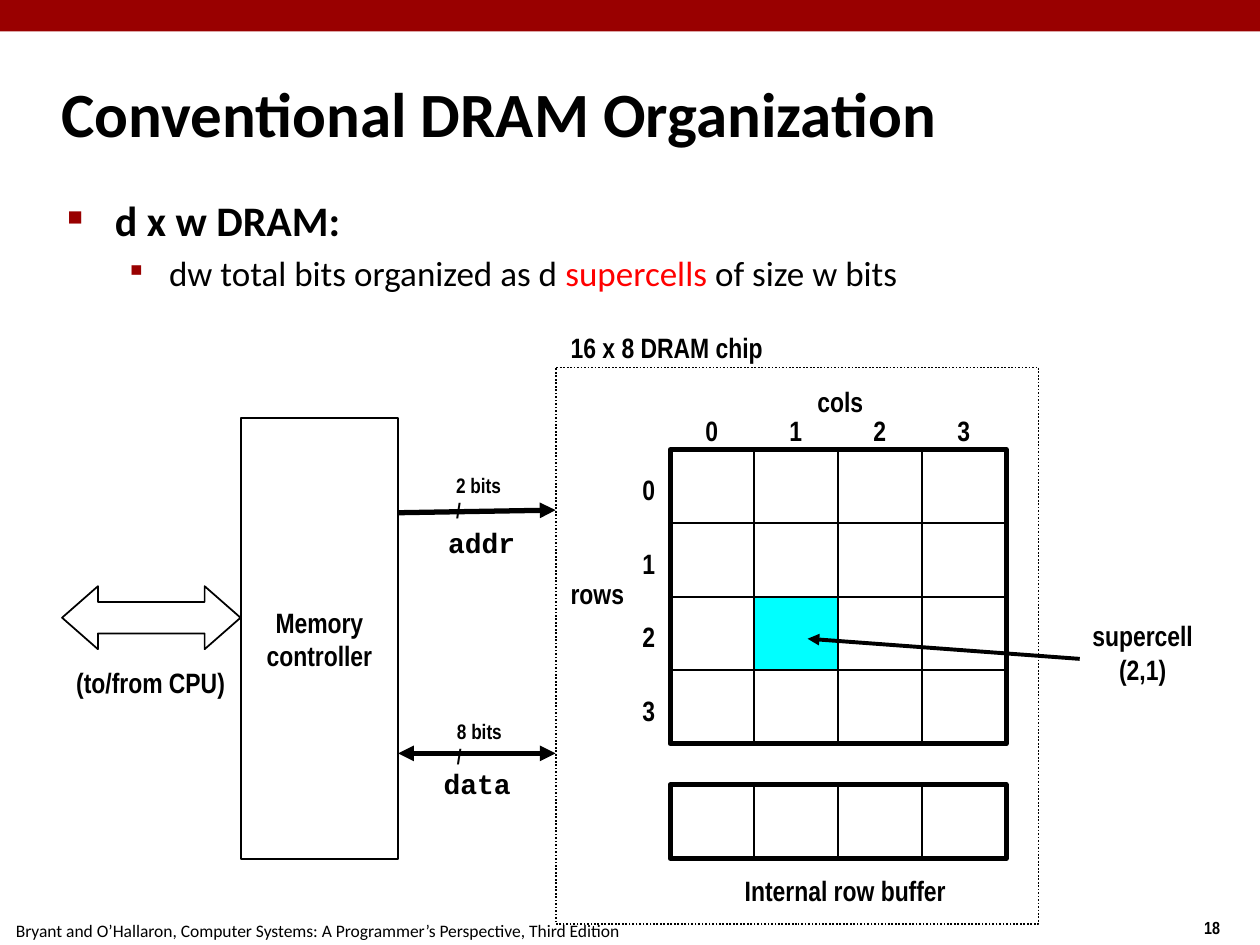
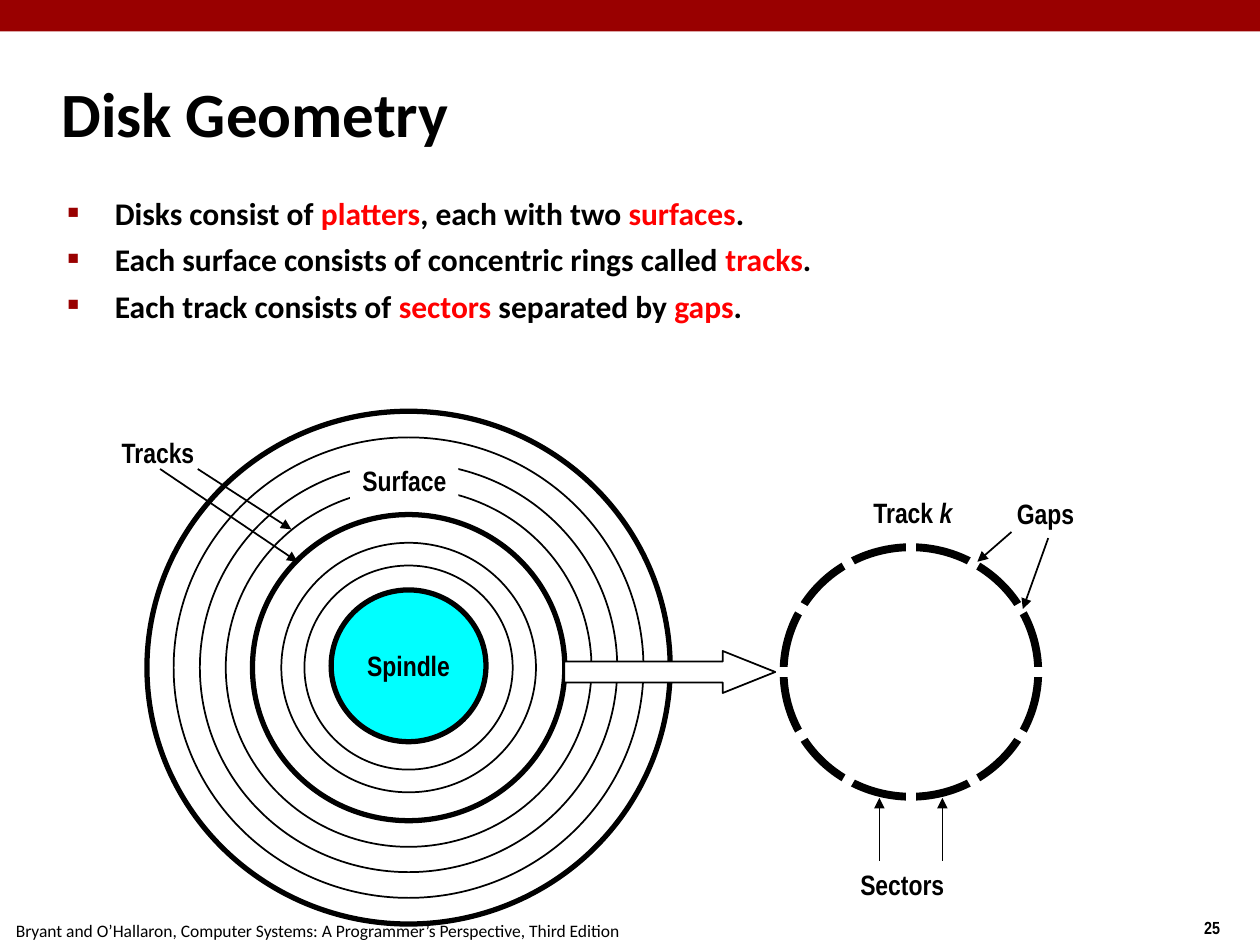
from math import cos, radians, sin

from lxml import etree
from pptx import Presentation
from pptx.dml.color import RGBColor
from pptx.enum.dml import MSO_LINE
from pptx.enum.shapes import MSO_CONNECTOR, MSO_SHAPE
from pptx.enum.text import MSO_ANCHOR, MSO_AUTO_SIZE, PP_ALIGN
from pptx.oxml.ns import qn
from pptx.util import Pt

BLACK = RGBColor(0, 0, 0)
WHITE = RGBColor(255, 255, 255)
CRIMSON = RGBColor(0x99, 0, 0)
RED = RGBColor(255, 0, 0)
CYAN = RGBColor(0, 255, 255)

BODY_FONT = "Calibri"
LABEL_FONT = "Arial Narrow"
CODE_FONT = "Courier New"
FOOTER = "Bryant and O’Hallaron, Computer Systems: A Programmer’s Perspective, Third Edition"

RECTANGLE = MSO_SHAPE.RECTANGLE
OVAL = MSO_SHAPE.OVAL
RIGHT_ARROW = MSO_SHAPE.RIGHT_ARROW
DOUBLE_ARROW = MSO_SHAPE.LEFT_RIGHT_ARROW
STRAIGHT = MSO_CONNECTOR.STRAIGHT
DOTTED = MSO_LINE.ROUND_DOT
LEFT, CENTER = PP_ALIGN.LEFT, PP_ALIGN.CENTER
MIDDLE = MSO_ANCHOR.MIDDLE
FIT_SHAPE = MSO_AUTO_SIZE.SHAPE_TO_FIT_TEXT

BULLETS = [("■", 60, 27.5, -27, 4.8), ("▪", 110, 58.5, -22.5, 4)]
CELL_WIDTH, CELL_HEIGHT = 48, 42
GRID_LEFT, GRID_TOP, BUFFER_TOP = 383, 257, 448.5
GRID_SIZE = 4
RING_RATIO = 0.98


def style_span(span, size, font=LABEL_FONT, bold=True, color=BLACK):
    """Set the look of one run."""
    span.font.size = Pt(size)
    span.font.name = font
    span.font.bold = bold
    span.font.color.rgb = color


def write_text(shape, text, size=16, font=LABEL_FONT, bold=True, align=LEFT):
    """Fill a shape with unwrapped text in one style."""
    frame = shape.text_frame
    frame.word_wrap = False
    frame.vertical_anchor = MIDDLE
    frame.text = text
    for para in frame.paragraphs:
        para.alignment = align
        for span in para.runs:
            style_span(span, size, font, bold)


def add_label(page, text, left, top, width, height=26.5, align=LEFT, **style):
    """Add a text box with spare room beside its text."""
    box = page.shapes.add_textbox(Pt(left), Pt(top), Pt(width), Pt(height))
    write_text(box, text, align=align, **style)
    frame = box.text_frame
    frame.auto_size = FIT_SHAPE
    frame.margin_right = 0
    if align == CENTER:
        frame.margin_left = 0
    return box


def add_figure(page, kind, left, top, width, height, fill=None, weight=1):
    """Add a preset shape; a weight of 0 means no outline."""
    shape = page.shapes.add_shape(kind, Pt(left), Pt(top), Pt(width), Pt(height))
    shape.shadow.inherit = False
    if fill is None:
        shape.fill.background()
    else:
        shape.fill.solid()
        shape.fill.fore_color.rgb = fill
    if weight:
        shape.line.color.rgb = BLACK
        shape.line.width = Pt(weight)
    else:
        shape.line.fill.background()
    return shape


def add_block_arrow(page, kind, left, top, width, height, head):
    """Add a white block arrow with the given head length."""
    arrow = add_figure(page, kind, left, top, width, height, WHITE)
    arrow.adjustments[0] = 0.5
    arrow.adjustments[1] = head


def add_ring(page, center, diameter, fill=None, weight=1):
    """Add a slightly flattened circle around a centre."""
    height = diameter * RING_RATIO
    left, top = center[0] - diameter / 2, center[1] - height / 2
    return add_figure(page, OVAL, left, top, diameter, height, fill, weight)


def add_line(page, start, end, weight=1, color=BLACK, ends=("tailEnd",)):
    """Add a straight line with arrowheads at the named ends."""
    line = page.shapes.add_connector(STRAIGHT, *(Pt(value) for value in start + end))
    line.line.color.rgb = color
    line.line.width = Pt(weight)
    outline = line.line._get_or_add_ln()
    for end_name in ends:
        etree.SubElement(outline, qn(f"a:{end_name}"), type="triangle")
    etree.SubElement(line._element.spPr, qn("a:effectLst"))


def add_bullet(para, level, first):
    """Give a paragraph the bullet, indents and spacing of its level."""
    character, percent, margin, indent, space = BULLETS[level]
    para.level = level
    properties = para._p.get_or_add_pPr()
    properties.set("marL", str(Pt(margin)))
    properties.set("indent", str(Pt(indent)))
    color = etree.SubElement(properties, qn("a:buClr"))
    etree.SubElement(color, qn("a:srgbClr"), val=str(CRIMSON))
    etree.SubElement(properties, qn("a:buSzPct"), val=str(percent * 1000))
    etree.SubElement(properties, qn("a:buFont"), typeface=LABEL_FONT)
    etree.SubElement(properties, qn("a:buChar"), char=character)
    if not first:
        para.space_before = Pt(space)


def add_bullet_list(page, items):
    """Add the body text; words between asterisks turn red."""
    box = page.shapes.add_textbox(Pt(31), Pt(107.5), Pt(622), Pt(391.5))
    frame = box.text_frame
    frame.word_wrap = True
    for index, (text, level, size) in enumerate(items):
        para = frame.add_paragraph() if index else frame.paragraphs[0]
        add_bullet(para, level, first=index == 0)
        for part, words in enumerate(text.split("*")):
            span = para.add_run()
            span.text = words
            style_span(span, size, BODY_FONT, level == 0, RED if part % 2 else BLACK)


def add_page(deck, title, number):
    """Add a slide with band, title, footer and number."""
    page = deck.slides.add_slide(deck.slide_layouts[6])
    add_figure(page, RECTANGLE, 0, 0, 720, 18, CRIMSON, 0)
    add_label(page, number, 681, 520.5, 54, 19.5, size=10)
    add_label(page, FOOTER, 2, 522, 365, 19.5, size=10, font=BODY_FONT, bold=False)
    heading = page.shapes.add_textbox(Pt(28), Pt(34), Pt(597.5), Pt(60))
    write_text(heading, title, size=36, font=BODY_FONT)
    return page


def add_cells(page, top, rows, marked=None):
    """Add rows of memory cells inside a heavy frame."""
    for row in range(rows):
        for column in range(GRID_SIZE):
            fill = CYAN if (row, column) == marked else WHITE
            add_figure(page, RECTANGLE, GRID_LEFT + column * CELL_WIDTH,
                       top + row * CELL_HEIGHT, CELL_WIDTH, CELL_HEIGHT, fill)
    add_figure(page, RECTANGLE, GRID_LEFT, top, GRID_SIZE * CELL_WIDTH,
               rows * CELL_HEIGHT, weight=3)


def build_dram_page(deck):
    """Draw the memory controller and the DRAM chip."""
    page = add_page(deck, "Conventional DRAM Organization", "18")
    add_bullet_list(page, [
        ("d x w DRAM:", 0, 24),
        ("dw total bits organized as d *supercells* of size w bits", 1, 20),
    ])

    add_label(page, "cols", 460, 216, 40.5)
    add_label(page, "rows", 319, 326, 44.5)
    add_cells(page, GRID_TOP, GRID_SIZE, marked=(2, 1))
    for index in range(GRID_SIZE):
        add_label(page, str(index), 396 + index * CELL_WIDTH, 232.5, 21.5)
        add_label(page, str(index), 360, 266.5 + index * CELL_HEIGHT, 21.5)
    add_cells(page, BUFFER_TOP, 1)
    add_label(page, "Internal row buffer", 418.5, 495.5, 129, align=CENTER)
    chip = add_figure(page, RECTANGLE, 317.5, 210, 276, 318)
    chip.line.dash_style = DOTTED
    add_label(page, "16 x 8 DRAM chip", 319, 185, 124)

    add_line(page, (227.5, 293), (317.5, 291.5), 3)
    add_label(page, "addr", 249, 296.5, 52.5, font=CODE_FONT)
    add_line(page, (227.5, 430.5), (317.5, 430.5), 3, ends=("headEnd", "tailEnd"))
    add_label(page, "data", 246.5, 434.5, 52.5, font=CODE_FONT)
    add_label(page, "2 bits\n/", 253.5, 266.5, 40.5, 36, size=12)
    add_label(page, "8 bits\n/", 254, 407, 40.5, 36, size=12)

    add_label(page, "supercell\n(2,1)", 617, 350, 72, 45.5, align=CENTER)
    add_line(page, (617, 376.5), (461.5, 365), 2.25)

    controller = add_figure(page, RECTANGLE, 137.5, 239, 90, 252, WHITE)
    write_text(controller, "Memory\ncontroller", align=CENTER)
    add_block_arrow(page, DOUBLE_ARROW, 35.5, 335, 102, 36, 0.57)
    add_label(page, "(to/from CPU)", 36.5, 376.5, 99.5)


def build_disk_page(deck):
    """Draw a disk surface and one of its tracks."""
    page = add_page(deck, "Disk Geometry", "25")
    add_bullet_list(page, [
        ("Disks consist of *platters*, each with two *surfaces*.", 0, 18),
        ("Each surface consists of concentric rings called *tracks*.", 0, 18),
        ("Each track consists of *sectors* separated by *gaps*.", 0, 18),
    ])

    disk_center = (233.5, 381.5)
    for diameter, weight in [(299, 3), (268.5, 1), (238.5, 1), (209, 1),
                             (178.5, 3), (145.5, 1), (119, 1)]:
        add_ring(page, disk_center, diameter, weight=weight)
    spindle = add_ring(page, (233.5, 380.5), 88.5, CYAN, 3)
    write_text(spindle, "Spindle", align=CENTER)
    surface = add_label(page, "Surface", 200, 261.5, 62)
    surface.fill.solid()
    surface.fill.fore_color.rgb = WHITE
    add_line(page, (91.5, 268), (170, 321))
    add_line(page, (113, 268), (166.5, 302.5))
    add_label(page, "Tracks", 62.5, 245, 55.5)

    track_center = (520.5, 384)
    add_ring(page, track_center, 145.5, weight=4.5)
    for angle in range(0, 360, 30):
        spoke_end = (track_center[0] + 84 * cos(radians(angle)),
                     track_center[1] + 84 * sin(radians(angle)))
        add_line(page, track_center, spoke_end, 6, WHITE, ends=())
    track_label = add_label(page, "Track ", 492, 279.5, 59)
    track_name = track_label.text_frame.paragraphs[0].add_run()
    track_name.text = "k"
    style_span(track_name, 16)
    track_name.font.italic = True

    add_label(page, "Sectors", 484.5, 492, 62)
    for sector_x in (502.5, 538.5):
        add_line(page, (sector_x, 492), (sector_x, 456))
    add_block_arrow(page, RIGHT_ARROW, 322.5, 372, 120.5, 24, 1.25)
    add_label(page, "Gaps", 574, 280, 47)
    add_line(page, (578, 304), (558.5, 321))
    add_line(page, (599, 307.5), (584.5, 348))


def main():
    """Build and save the deck."""
    deck = Presentation()
    deck.slide_width, deck.slide_height = Pt(720), Pt(540)
    build_dram_page(deck)
    build_disk_page(deck)
    deck.save("out.pptx")


if __name__ == "__main__":
    main()
